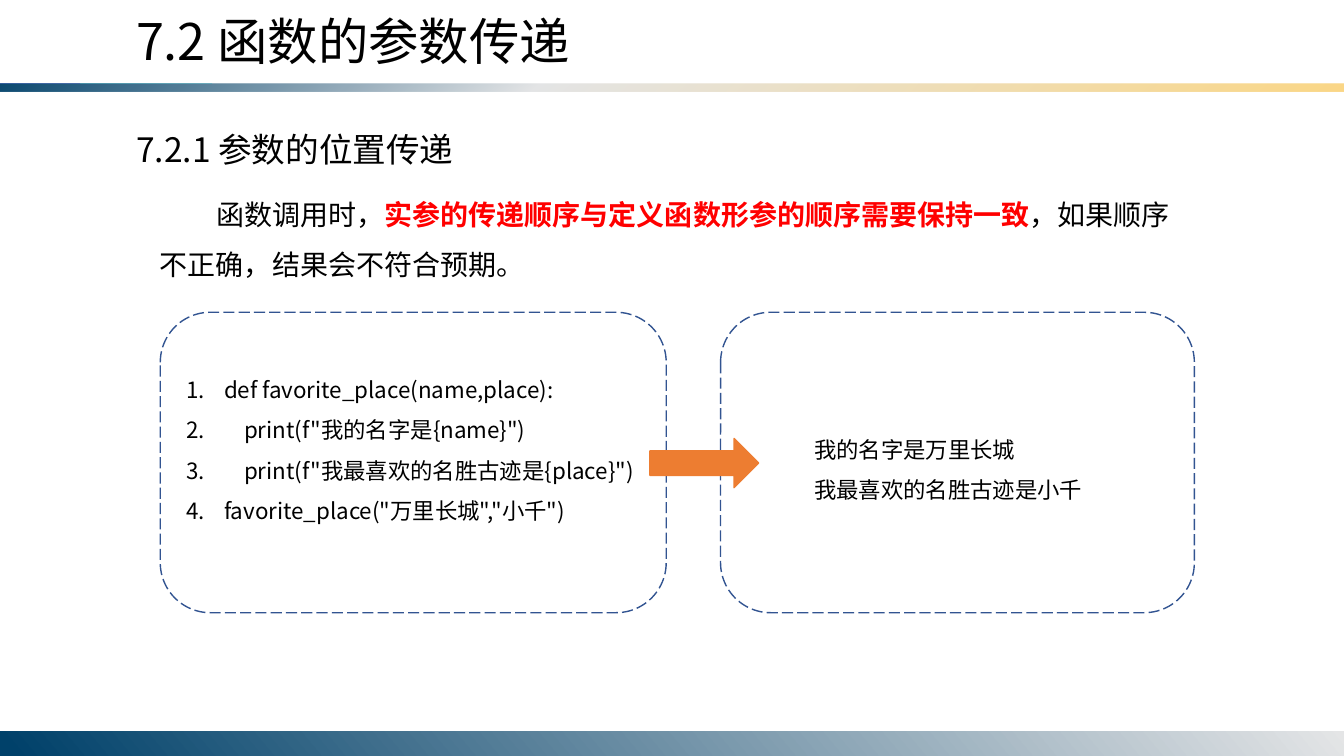
"""Builds a slide on passing function arguments by position."""
from lxml.etree import SubElement
from pptx import Presentation
from pptx.dml.color import RGBColor
from pptx.enum.dml import MSO_LINE_DASH_STYLE as Dash
from pptx.enum.shapes import MSO_SHAPE as Preset
from pptx.enum.text import MSO_AUTO_SIZE as AutoSize
from pptx.oxml.ns import qn
from pptx.util import Cm, Pt

FONT = "Noto Sans CJK SC"
BLACK = RGBColor(0x00, 0x00, 0x00)
RED = RGBColor(0xFF, 0x00, 0x00)
NAVY = RGBColor(0x00, 0x41, 0x6A)
SILVER = RGBColor(0xE4, 0xE5, 0xE6)
GOLD = RGBColor(0xFB, 0xD7, 0x86)
BLUE = RGBColor(0x32, 0x54, 0x91)
ORANGE = RGBColor(0xED, 0x7D, 0x31)

SLIDE_WIDTH, SLIDE_HEIGHT = 33.87, 19.05
PANEL_TOP, PANEL_HEIGHT = 7.87, 7.57

CODE = [
    "def favorite_place(name,place):",
    '    print(f"我的名字是{name}")',
    '    print(f"我最喜欢的名胜古迹是{place}")',
    'favorite_place("万里长城","小千")',
]
OUTPUT = ["我的名字是万里长城", "我最喜欢的名胜古迹是小千"]
RULE = [
    "函数调用时，",
    ("实参的传递顺序与定义函数形参的顺序需要保持一致", RED),
    "，如果顺序不正确，结果会不符合预期。",
]


def add_run(paragraph, text, size, color=BLACK, bold=False):
    """Append a run in the slide font, for Latin and Chinese alike."""
    run = paragraph.add_run()
    run.text = text
    run.font.size = Pt(size)
    run.font.bold = bold
    run.font.color.rgb = color
    run.font.name = FONT
    SubElement(run.font._element, qn("a:ea"), typeface=FONT)


def add_text(slide, paragraphs, box, size, spacing=None, first_indent=0, numbered=False):
    """Add a text box; each paragraph is a string or a list of plain and (text, color) parts."""
    frame = slide.shapes.add_textbox(*map(Cm, box)).text_frame
    frame.word_wrap = True
    frame.auto_size = AutoSize.SHAPE_TO_FIT_TEXT
    for index, parts in enumerate(paragraphs):
        paragraph = frame.add_paragraph() if index else frame.paragraphs[0]
        paragraph.line_spacing = spacing
        properties = paragraph._p.get_or_add_pPr()
        if numbered:
            properties.set("marL", str(Cm(0.95)))
            properties.set("indent", str(-Cm(0.95)))
            SubElement(properties, qn("a:buFont"), typeface="+mj-lt")
            SubElement(properties, qn("a:buAutoNum"), type="arabicPeriod")
        elif first_indent:
            properties.set("indent", str(Cm(first_indent)))
        for part in [parts] if isinstance(parts, str) else parts:
            if isinstance(part, str):
                add_run(paragraph, part, size)
            else:
                add_run(paragraph, part[0], size, color=part[1], bold=True)


def add_preset(slide, preset, box):
    """Add a preset shape without shadow."""
    shape = slide.shapes.add_shape(preset, *map(Cm, box))
    shape.shadow.inherit = False
    return shape


def add_band(slide, top, height, stops, angle):
    """Add a full-width gradient band from (percent, color, opacity) stops."""
    band = add_preset(slide, Preset.RECTANGLE, (0, top, SLIDE_WIDTH, height))
    band.line.fill.background()
    band.fill.gradient()
    band.fill.gradient_angle = 360 - angle
    stop_list = band._element.spPr.find(qn("a:gradFill")).find(qn("a:gsLst"))
    for default_stop in list(stop_list):
        stop_list.remove(default_stop)
    for percent, color, opacity in stops:
        stop = SubElement(stop_list, qn("a:gs"), pos=str(percent * 1000))
        tint = SubElement(stop, qn("a:srgbClr"), val=str(color))
        if opacity < 100:
            SubElement(tint, qn("a:alpha"), val=str(opacity * 1000))


def add_panel(slide, left, width):
    """Add a dashed rounded frame in the panel row."""
    panel = add_preset(slide, Preset.ROUNDED_RECTANGLE, (left, PANEL_TOP, width, PANEL_HEIGHT))
    panel.fill.background()
    panel.line.color.rgb = BLUE
    panel.line.width = Pt(1)
    panel.line.dash_style = Dash.LONG_DASH


def add_arrow(slide, box):
    """Add a solid arrow pointing right."""
    arrow = add_preset(slide, Preset.RIGHT_ARROW, box)
    arrow.fill.solid()
    arrow.fill.fore_color.rgb = ORANGE
    arrow.line.color.rgb = ORANGE
    arrow.line.width = Pt(1)


def main():
    """Build and save the slide."""
    deck = Presentation()
    deck.slide_width, deck.slide_height = Cm(SLIDE_WIDTH), Cm(SLIDE_HEIGHT)
    slide = deck.slides.add_slide(deck.slide_layouts[6])

    add_band(slide, 2.1, 0.21, [(0, NAVY, 95), (40, SILVER, 100), (100, GOLD, 100)], 50)
    add_band(slide, 18.43, 0.62, [(0, SILVER, 100), (99, NAVY, 100)], 140)

    add_text(slide, ["7.2 函数的参数传递"], (3.18, 0.13, 15.54, 1.8), size=36)
    add_text(slide, ["7.2.1 参数的位置传递"], (3.18, 3.12, 8.92, 1.27), size=24)
    add_text(slide, [RULE], (3.78, 4.42, 26.31, 2.82), size=20, spacing=1.5, first_indent=1.42)

    add_text(slide, CODE, (4.45, 9.02, 11.94, 4.37), size=16, spacing=1.5, numbered=True)
    add_panel(slide, 4.04, 12.75)
    add_text(slide, OUTPUT, (20.27, 10.52, 7.7, 2.31), size=16, spacing=1.5)
    add_panel(slide, 18.16, 11.94)
    add_arrow(slide, (16.38, 11.05, 2.74, 1.24))

    deck.save("out.pptx")


if __name__ == "__main__":
    main()
